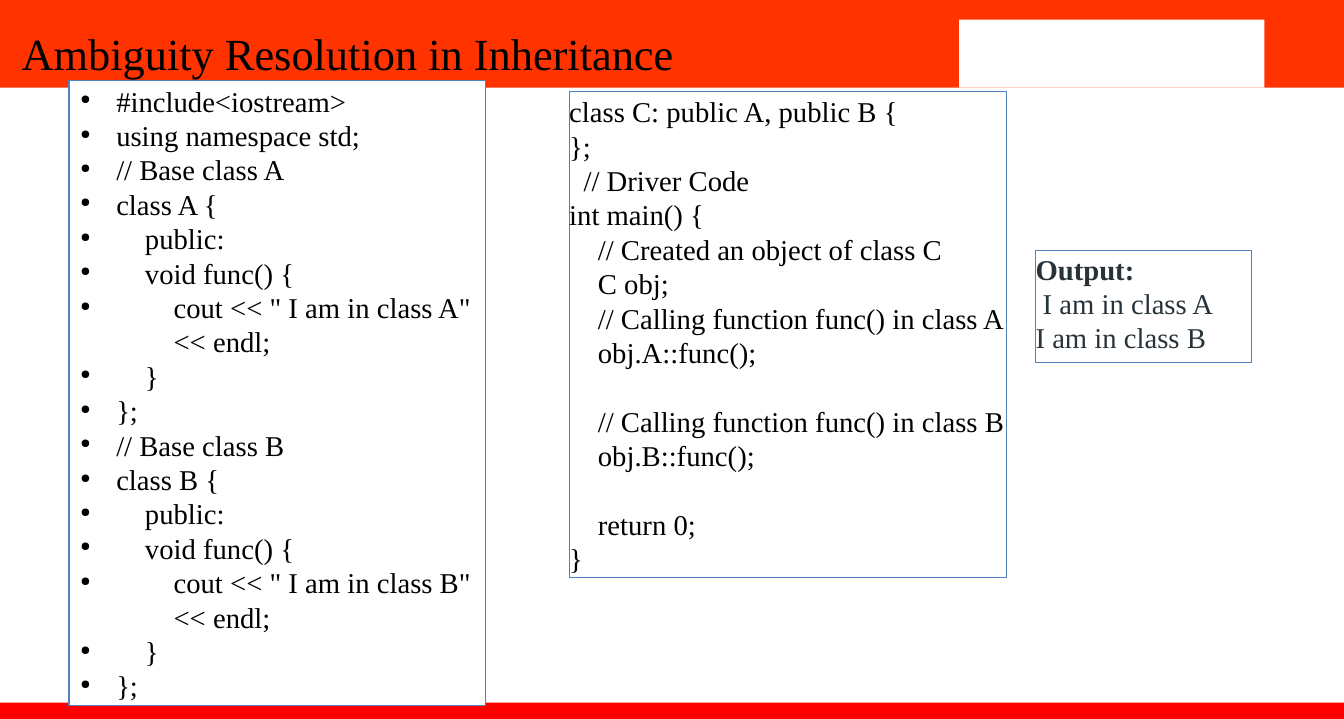
import pptx
import pptx.dml.color
import pptx.enum.shapes
import pptx.enum.text
import pptx.oxml.ns
import pptx.util
from lxml import etree

Pt = pptx.util.Pt
WIDTH, HEIGHT = 938.2, 501.8
COLORS = {
    "header": "FF3300",
    "footer": "FF0000",
    "paper": "FFFFFF",
    "border": "4F81BD",
    "ink": "000000",
    "output": "273239",
}
FONT = "Times New Roman"
CODE_SIZE = 20
LINE_PITCH = 24
SPACE = 5  # width of one space at the code size
BULLET_START, BULLET_HANG = 8, 25

# Each line: text, indent in spaces, whether a blank line comes before it
RESOLVER_CODE = [
    ("class C: public A, public B {", 0, False),
    ("};", 0, False),
    ("// Driver Code", 2, False),
    ("int main() {", 0, False),
    ("// Created an object of class C", 4, False),
    ("C obj;", 4, False),
    ("// Calling function func() in class A", 4, False),
    ("obj.A::func();", 4, False),
    ("// Calling function func() in class B", 4, True),
    ("obj.B::func();", 4, False),
    ("return 0;", 4, True),
    ("}", 0, False),
]


def base_class_code(name):
    return [
        (f"// Base class {name}", 0),
        (f"class {name} {{", 0),
        ("public:", 4),
        ("void func() {", 4),
        (f'cout << " I am in class {name}" << endl;', 8),
        ("}", 4),
        ("};", 0),
    ]


def color(name):
    return pptx.dml.color.RGBColor.from_string(COLORS[name])


def add_rect(page, box, fill, line=None):
    shape = page.shapes.add_shape(
        pptx.enum.shapes.MSO_SHAPE.RECTANGLE, *(Pt(length) for length in box))
    shape.shadow.inherit = False
    shape.fill.solid()
    shape.fill.fore_color.rgb = color(fill)
    if line:
        shape.line.color.rgb = color(line)
        shape.line.width = Pt(0.75)
    else:
        shape.line.fill.background()
    return shape


def set_up_frame(shape, wrap=True, bottom=0):
    frame = shape.text_frame
    frame.word_wrap = wrap
    frame.vertical_anchor = pptx.enum.text.MSO_ANCHOR.MIDDLE
    frame.margin_left = frame.margin_top = frame.margin_right = 0
    frame.margin_bottom = Pt(bottom)
    return frame


def add_text(frame, text, size=CODE_SIZE, ink="ink", bold=False, indent=0,
             before=0, pitch=LINE_PITCH, bullet=False):
    """Write one paragraph, reusing the empty one of a new frame."""
    first = frame.paragraphs[0]
    para = frame.add_paragraph() if first.runs else first
    para.alignment = pptx.enum.text.PP_ALIGN.LEFT
    para.space_before = Pt(before)
    if pitch:
        para.line_spacing = Pt(pitch)
    hang = BULLET_HANG + indent if bullet else 0
    margin = BULLET_START + hang if bullet else indent
    props = para._p.get_or_add_pPr()
    props.set("marL", str(Pt(margin)))
    props.set("indent", str(-Pt(hang)))
    if bullet:
        add_bullet(props)
    span = para.add_run()
    span.text = text
    span.font.name = FONT
    span.font.size = Pt(size)
    span.font.bold = bold
    span.font.color.rgb = color(ink)


def add_bullet(props):
    qn = pptx.oxml.ns.qn
    tint = etree.SubElement(props, qn("a:buClr"))
    etree.SubElement(tint, qn("a:srgbClr"), val=COLORS["ink"])
    etree.SubElement(props, qn("a:buSzPct"), val="45000")
    etree.SubElement(props, qn("a:buChar"), char="●")


def add_header(page, box):
    left, top, width, height = box
    add_rect(page, box, "header")
    add_rect(page, (left + 669.6, top + 13.7, 213.1, height - 13.7), "paper")


def add_title(page, box):
    title = page.shapes.add_textbox(*(Pt(length) for length in box))
    add_text(set_up_frame(title), "Ambiguity Resolution in Inheritance",
             size=31, pitch=None)


def add_base_classes(page, box):
    frame = set_up_frame(add_rect(page, box, "paper", "border"))
    lines = [("#include<iostream>", 0), ("using namespace std;", 0)]
    for text, spaces in lines + base_class_code("A") + base_class_code("B"):
        add_text(frame, text, indent=spaces * SPACE, bullet=True)


def add_resolver(page, box):
    frame = set_up_frame(add_rect(page, box, "paper", "border"), wrap=False)
    for text, spaces, gap in RESOLVER_CODE:
        add_text(frame, text, indent=spaces * SPACE,
                 before=LINE_PITCH if gap else 0)


def add_output(page, box):
    frame = set_up_frame(add_rect(page, box, "paper", "border"), bottom=5)
    add_text(frame, "Output:", ink="output", bold=True)
    add_text(frame, "I am in class A", ink="output", indent=SPACE)
    add_text(frame, "I am in class B", ink="output")


def main():
    deck = pptx.Presentation()
    deck.slide_width, deck.slide_height = Pt(WIDTH), Pt(HEIGHT)
    page = deck.slides.add_slide(deck.slide_layouts[6])
    add_header(page, (0, 0, WIDTH, 61.2))
    add_rect(page, (0, 490.3, WIDTH, HEIGHT - 490.3), "footer")
    add_base_classes(page, (48.2, 56.2, 290.9, 436.3))
    add_resolver(page, (397.4, 64.1, 305.3, 339.1))
    add_output(page, (722.9, 175, 150.5, 77.8))
    add_title(page, (15.1, 7.9, 869.8, 57.6))
    deck.save("out.pptx")


if __name__ == "__main__":
    main()
